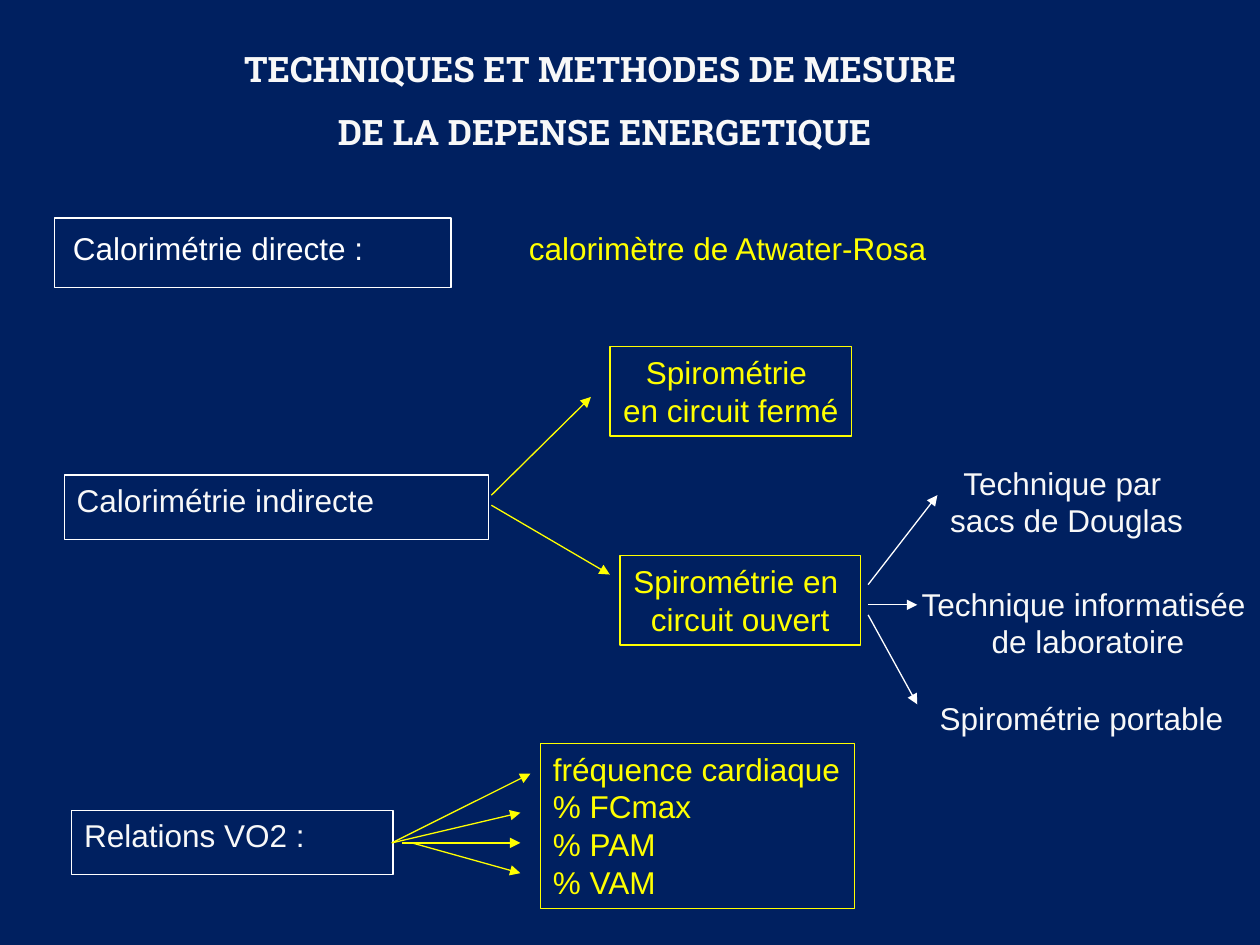
from pptx import Presentation
from pptx.util import Pt
from pptx.dml.color import RGBColor
from pptx.enum.shapes import MSO_SHAPE, MSO_CONNECTOR
from pptx.enum.text import PP_ALIGN
from pptx.oxml.ns import qn
from lxml.etree import SubElement

PX = 9144
NAVY, WHITE, PALE, GOLD = "002060", "FFFFFF", "F8F8F8", "FFFF00"

TITLE = ["TECHNIQUES ET METHODES DE MESURE ", "DE LA DEPENSE ENERGETIQUE"]
FRAMES = [
    ((43, 173, 315, 55), WHITE, WHITE, False, []),
    ((51, 377, 337, 51), WHITE, PALE, False, ["Calorimétrie indirecte"]),
    ((57, 643, 255, 51), WHITE, PALE, False, ["Relations VO2 :"]),
    ((484, 275, 192, 71), GOLD, GOLD, True,
     ["Spirométrie ", "en circuit fermé"]),
    ((492, 441, 191, 71), GOLD, GOLD, True,
     ["Spirométrie en ", "circuit ouvert"]),
    ((429, 590, 249, 131), GOLD, GOLD, False,
     ["fréquence cardiaque", "% FCmax", "% PAM", "% VAM"]),
]
LABELS = [
    ((48, 177, 300, 40), WHITE, False, ["Calorimétrie directe :"]),
    ((410, 177, 350, 40), GOLD, False, ["calorimètre de Atwater-Rosa"]),
    ((744, 363, 205, 70), PALE, True, ["Technique par ", "sacs de Douglas"]),
    ((720, 459, 287, 70), PALE, True,
     ["Technique informatisée ", "de laboratoire"]),
    ((736, 550, 255, 40), PALE, False, ["Spirométrie portable"]),
]
ARROWS = {
    GOLD: [(390, 393, 469, 315), (390, 401, 484, 456),
           (311, 669, 421, 614), (311, 669, 413, 645),
           (319, 669, 413, 669), (327, 669, 413, 693)],
    WHITE: [(689, 464, 744, 393), (689, 480, 728, 480),
            (689, 488, 728, 559)],
}


def rgb(code):
    return RGBColor.from_string(code)


def scale(nums):
    return [n * PX for n in nums]


def write(shape, lines, color, mid, face="Arial", size=18, bold=False, gap=1):
    frame = shape.text_frame
    frame.word_wrap = not mid
    frame.text = "\n".join(lines)
    for para in frame.paragraphs:
        para.alignment = PP_ALIGN.CENTER if mid else PP_ALIGN.LEFT
        para.line_spacing = gap
        font = para.font
        font.name, font.size, font.bold = face, Pt(size), bold
        font.color.rgb = rgb(color)


def add_frame(slide, box, edge, color, mid, lines):
    shape = slide.shapes.add_shape(MSO_SHAPE.RECTANGLE, *scale(box))
    shape.shadow.inherit = False
    shape.fill.background()
    shape.line.color.rgb = rgb(edge)
    shape.line.width = Pt(0.75)
    shape.text_frame.vertical_anchor = 1
    if lines:
        write(shape, lines, color, mid)


def add_label(slide, box, color, mid, lines, **style):
    write(slide.shapes.add_textbox(*scale(box)), lines, color, mid, **style)


def add_arrow(slide, ends, color):
    arrow = slide.shapes.add_connector(MSO_CONNECTOR.STRAIGHT, *scale(ends))
    arrow.line.color.rgb = rgb(color)
    arrow.line.width = Pt(0.75)
    props = arrow.line.color and arrow._element.spPr
    SubElement(props.find(qn("a:ln")), qn("a:tailEnd"), type="triangle")
    SubElement(props, qn("a:effectLst"))


def main():
    deck = Presentation()
    deck.slide_width, deck.slide_height = scale((1000, 750))
    slide = deck.slides.add_slide(deck.slide_layouts[6])
    fill = slide.background.fill
    fill.solid()
    fill.fore_color.rgb = rgb(NAVY)
    add_label(slide, (160, 16, 640, 110), PALE, True, TITLE,
              face="Roboto Slab", size=20, bold=True, gap=1.5)
    for item in FRAMES:
        add_frame(slide, *item)
    for item in LABELS:
        add_label(slide, *item)
    for color, group in ARROWS.items():
        for ends in group:
            add_arrow(slide, ends, color)
    deck.save("out.pptx")


if __name__ == "__main__":
    main()
